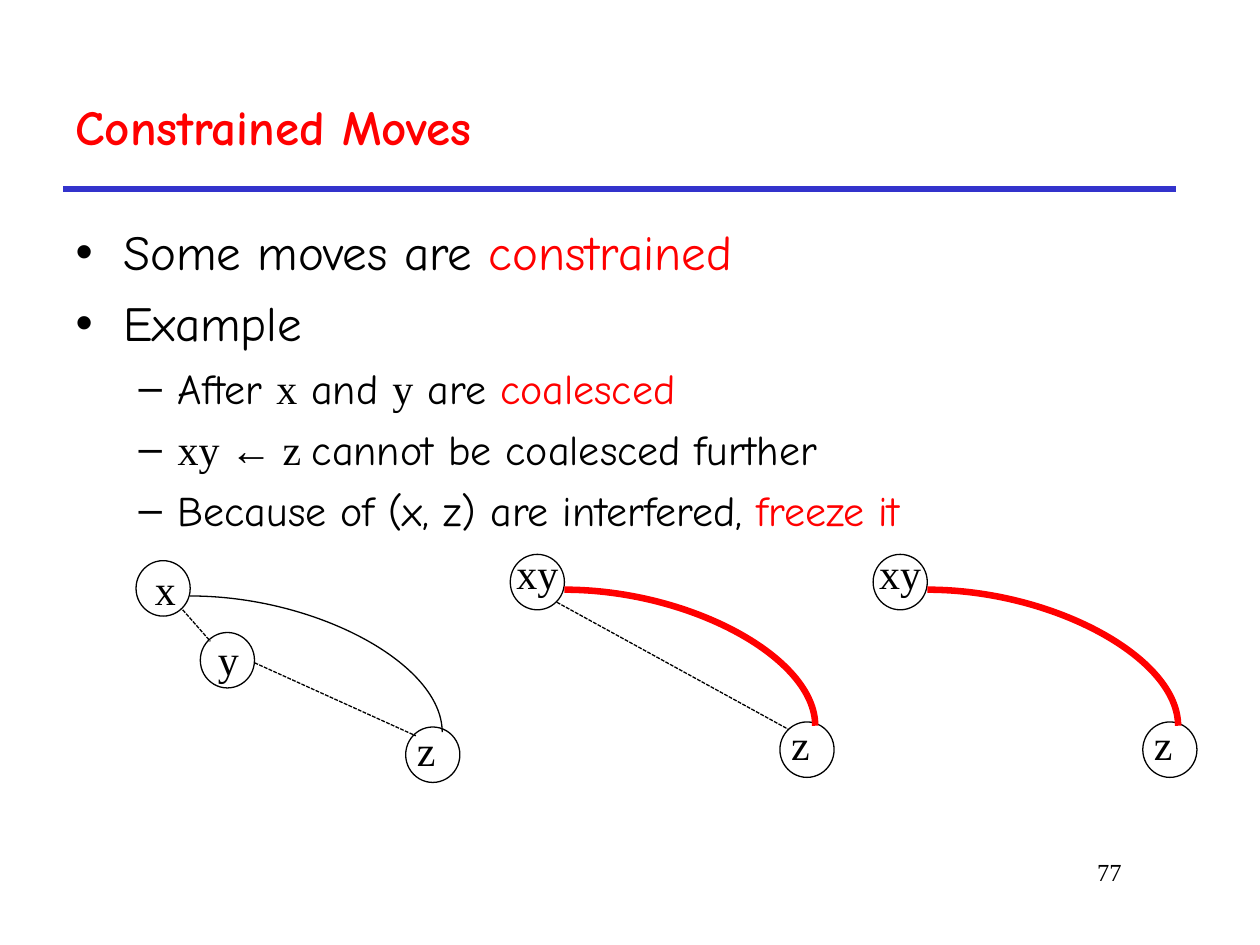
from pptx import Presentation
from pptx import util as u
from pptx.dml.color import RGBColor
from pptx.enum import dml, shapes, text
from pptx.oxml.ns import qn
from lxml import etree

PX = 9144  # 100 px to the inch
SANS, SERIF = "Comic Neue", "Times New Roman"
BLACK, RED, BLUE = "000000", "FF0000", "3333CC"


def px(*nums):
    return [u.Emu(n * PX) for n in nums]


def tint(hue):
    return RGBColor.from_string(hue)


def style(item, **vals):
    for key, val in vals.items():
        setattr(item, key, val)


def write(para, words, size, face=SANS, hue=BLACK, bold=False):
    run = para.add_run()
    run.text = words
    style(run.font, name=face, size=u.Pt(size), bold=bold)
    run.font.color.rgb = tint(hue)


def link(home, ends, hue=BLACK, width=0.75, dash=False, curve=False):
    kind = shapes.MSO_CONNECTOR
    line = home.add_connector(kind.CURVE if curve else kind.STRAIGHT, *px(*ends))
    line.line.color.rgb = tint(hue)
    line.line.width = u.Pt(width)
    if dash:
        line.line.dash_style = dml.MSO_LINE.SQUARE_DOT
    props = line._element.spPr
    if curve:  # quarter arc: leaves level, arrives upright
        props.find(qn("a:prstGeom")).set("prst", "curvedConnector2")
    etree.SubElement(props, qn("a:effectLst"))


def label(home, box, words, size, side=text.PP_ALIGN.LEFT):
    frame = home.add_textbox(*px(*box)).text_frame
    frame.word_wrap = False
    para = frame.paragraphs[0]
    para.alignment = side
    write(para, words, size, SERIF)


def header(slide, box, words):
    left, top, width, height = box
    link(slide.shapes, (left, top + height, left + width, top + height), BLUE, 3)
    title = slide.shapes.title
    style(title, **dict(zip(("left", "top", "width", "height"), px(*box))))
    style(title.text_frame, vertical_anchor=text.MSO_ANCHOR.MIDDLE,
          auto_size=text.MSO_AUTO_SIZE.NONE, word_wrap=True)
    para = title.text_frame.paragraphs[0]
    para.alignment = text.PP_ALIGN.LEFT
    write(para, words, 28, hue=RED, bold=True)


def bullets(slide, box, items):
    # level: size, mark, margin, hang, space before
    levels = [(28, "•", 38, 38, 7), (24, "–", 81, 31, 6)]
    body = slide.placeholders[1]
    style(body, **dict(zip(("left", "top", "width", "height"), px(*box))))
    frame = body.text_frame
    style(frame, auto_size=text.MSO_AUTO_SIZE.NONE, word_wrap=True)
    for i, (level, parts) in enumerate(items):
        size, mark, margin, hang, gap = levels[level]
        para = frame.add_paragraph() if i else frame.paragraphs[0]
        props = para._p.get_or_add_pPr()
        props.set("marL", str(margin * PX))
        props.set("indent", str(-hang * PX))
        etree.SubElement(props, qn("a:buChar")).set("char", mark)
        style(para, level=level, space_before=u.Pt(gap if i else 0))
        for words, *look in parts:
            write(para, words, size, *look)


def graph(slide, spot, nodes, arc, dashes):
    left, top = spot
    home = slide.shapes.add_group_shape().shapes

    def shift(ends):
        return [n + (top if i % 2 else left) for i, n in enumerate(ends)]

    # nodes: name, place, label offset, label width
    for name, place, (dx, dy), width in nodes:
        x, y = shift(place)
        ring = home.add_shape(shapes.MSO_SHAPE.OVAL, *px(x, y, 43, 44))
        ring.shadow.inherit = False
        ring.fill.background()
        ring.line.color.rgb = tint(BLACK)
        ring.line.width = u.Pt(0.75)
        label(home, (x + dx, y + dy, width, 50), name, 24)
    # edges: interference as an arc, moves dashed
    ends, look = arc
    link(home, shift(ends), curve=True, **look)
    for ends in dashes:
        link(home, shift(ends), dash=True)


def main():
    deck = Presentation()
    deck.slide_width, deck.slide_height = px(1000, 750)
    slide = deck.slides.add_slide(deck.slide_layouts[1])

    header(slide, (50, 50, 883, 100), "Constrained Moves")
    bullets(slide, (50, 171, 908, 483), [
        (0, [("Some moves are ",), ("constrained", SANS, RED)]),
        (0, [("Example",)]),
        (1, [("After ",), ("x", SERIF), (" and ",), ("y", SERIF), (" are ",),
             ("coalesced", SANS, RED)]),
        (1, [("xy ← z ", SERIF), ("cannot be coalesced further",)]),
        (1, [("Because of (x, z) are interfered, ",), ("freeze it", SANS, RED)]),
    ])

    # before coalescing
    graph(slide, (108, 445),
          [("x", (0, 0), (5, -3), 38), ("y", (51, 57), (4, -4), 38),
           ("z", (214, 132), (-1, -7), 36)],
          ((43, 28, 243, 136), {}),
          [(37, 39, 59, 64), (94, 81, 222, 139)])
    # coalesced, then frozen
    pair = [("xy", (0, 0), (-5, -10), 54), ("z", (214, 133), (-1, -8), 36)]
    arc = ((43, 28, 242, 136), {"hue": RED, "width": 3.75})
    for left, dashes in ((405, [(37, 38, 221, 139)]), (693, [])):
        graph(slide, (left, 440), pair, arc, dashes)

    # page number
    label(slide.shapes, (692, 675, 208, 50), "77", 14, text.PP_ALIGN.RIGHT)
    deck.save("out.pptx")


if __name__ == "__main__":
    main()
